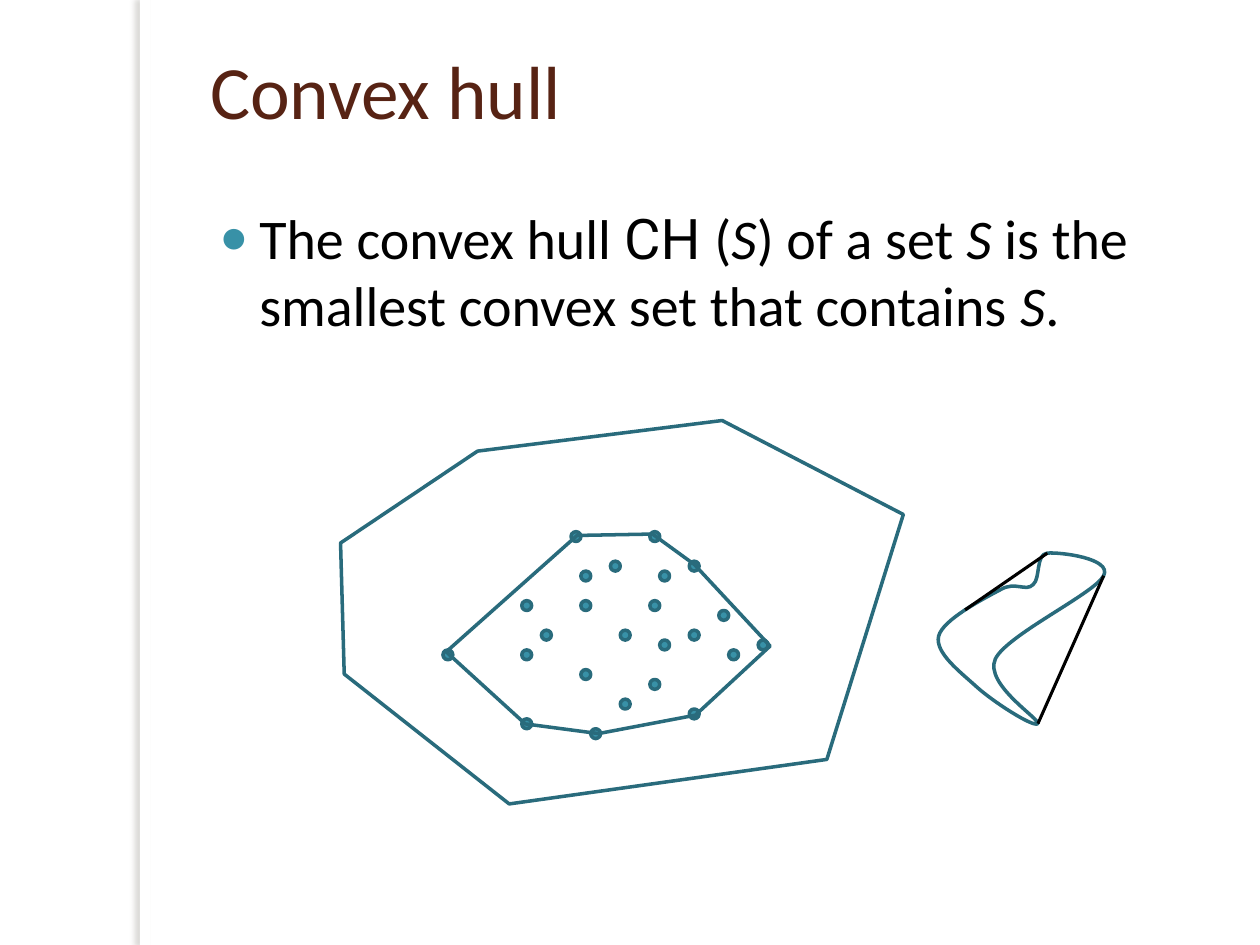
from lxml import etree
from pptx import Presentation
from pptx import util as u
from pptx.dml.color import RGBColor
from pptx.enum import shapes, text
from pptx.oxml import ns

Pt = u.Pt
TEAL, DARK_TEAL = "3891A7", "296B7C"


def rgb(value):
    return RGBColor.from_string(value)


def add_run(paragraph, words, size=32, font="Calibri", color="000000", italic=False):
    run = paragraph.add_run()
    run.text = words
    run.font.size = Pt(size)
    run.font.name = font
    run.font.italic = italic
    run.font.color.rgb = rgb(color)


deck = Presentation()
deck.slide_width, deck.slide_height = Pt(720), Pt(540)
slide = deck.slides.add_slide(deck.slide_layouts[6])

# Side strip with a soft shadow to its left
strip = slide.shapes.add_shape(shapes.MSO_SHAPE.RECTANGLE, Pt(80), 0, Pt(5.76), Pt(540))
strip.shadow.inherit = False
strip.fill.solid()
strip.fill.fore_color.rgb = rgb("FFFFFF")
strip.line.fill.background()
effects = strip._element.spPr.find(ns.qn("a:effectLst"))
shadow = etree.SubElement(effects, ns.qn("a:outerShdw"), blurRad=str(Pt(3)),
                          dist=str(Pt(3)), dir="10800000", rotWithShape="0")
tint = etree.SubElement(shadow, ns.qn("a:srgbClr"), val="736F63")
etree.SubElement(tint, ns.qn("a:alpha"), val="25000")

# Title
title = slide.shapes.add_textbox(Pt(113), Pt(21.6), Pt(590.4), Pt(90)).text_frame
title.word_wrap = True
add_run(title.paragraphs[0], "Convex hull", size=43, color="572314")

# Definition, one bulleted paragraph
body = slide.shapes.add_textbox(Pt(112.3), Pt(112.8), Pt(590.4), Pt(378)).text_frame
body.word_wrap = True
body.vertical_anchor = text.MSO_ANCHOR.TOP
definition = body.paragraphs[0]
definition.space_before = Pt(6)
props = definition._p.get_or_add_pPr()
props.set("marL", str(Pt(28.8)))
props.set("indent", str(Pt(-22.3)))
bullet_color = etree.SubElement(props, ns.qn("a:buClr"))
etree.SubElement(bullet_color, ns.qn("a:srgbClr"), val=TEAL)
etree.SubElement(props, ns.qn("a:buSzPct"), val="80000")
etree.SubElement(props, ns.qn("a:buFont"), typeface="Calibri")
etree.SubElement(props, ns.qn("a:buChar"), char="●")
add_run(definition, "The convex hull ")
add_run(definition, "CH ", font="Roboto")
for words in ("(", "S", ") of a set ", "S",
              " is the smallest convex set that contains ", "S", "."):
    add_run(definition, words, italic=words == "S")

# Point set S, as column and row on a grid whose step is the dot size
step = 5.63
point_set = [
    (0, 12), (8, 19), (8, 12), (15, 20), (8, 7), (14, 14), (14, 7), (21, 15),
    (10, 10), (18, 17), (18, 10), (25, 18), (17, 3), (25, 10), (25, 3), (32, 11),
    (14, 4), (22, 11), (22, 4), (29, 12), (13, 0), (21, 7), (21, 0), (28, 8),
]
for column, row in point_set:
    dot = slide.shapes.add_shape(shapes.MSO_SHAPE.OVAL, Pt(253.1 + column * step),
                                 Pt(303.8 + row * step), Pt(step), Pt(step))
    dot.shadow.inherit = False
    dot.fill.solid()
    dot.fill.fore_color.rgb = rgb(TEAL)
    dot.line.color.rgb = rgb(DARK_TEAL)
    dot.line.width = Pt(2)

# Outer convex polygon, the hull of S, and a curved region
# (the region lists two controls and an end for each Bezier piece)
outer_polygon = [(272.9, 257.8), (194.6, 310.3), (196.7, 385.2), (291, 459.4),
                 (472.5, 434), (516.2, 294), (412.7, 240.3)]
hull = [(329.8, 306), (255, 372.5), (300.2, 413.7), (342, 419.2),
        (397.4, 408.7), (440.1, 369.2), (396.8, 322.6), (372.9, 305.2)]
region = [
    (571.7, 337),
    (562.3, 342), (538.6, 354.2), (536.4, 363.6),
    (534.2, 373), (548.6, 383.8), (558, 392.4),
    (567.4, 401), (591.1, 416.2), (593.1, 413.5),
    (594.7, 411.1), (562.3, 391), (568.8, 376.6),
    (575.3, 362.9), (625.7, 339.1), (630.7, 329),
    (635.8, 319), (605.5, 315.4), (598.5, 316.1),
    (591.8, 316.8), (594.7, 330.5), (590.4, 334.1),
    (586.1, 338.4), (580.3, 331.9), (571.7, 337),
]
for corners in (outer_polygon, hull, region):
    corners = [(Pt(x), Pt(y)) for x, y in corners]
    builder = slide.shapes.build_freeform(*corners[0], scale=1.0)
    builder.add_line_segments(corners[1:], close=True)
    outline = builder.convert_to_shape()
    outline.shadow.inherit = False
    outline.fill.background()
    outline.line.color.rgb = rgb(DARK_TEAL)
    outline.line.width = Pt(2)

# Join the region's segments, three at a time, into Bezier curves
segments = list(outline._element.iter(ns.qn("a:lnTo")))
for i in range(0, len(segments) - 2, 3):
    curve = etree.Element(ns.qn("a:cubicBezTo"))
    segments[i].addprevious(curve)
    for segment in segments[i:i + 3]:
        curve.append(segment[0])
        segment.getparent().remove(segment)

# Straight edges that close the hull of the curved region
hull_edges = slide.shapes.add_group_shape()
for ends in ((630.7, 329, 593.1, 413.5), (598.5, 316.1, 551.5, 348.5)):
    edge = hull_edges.shapes.add_connector(shapes.MSO_CONNECTOR.STRAIGHT, *map(Pt, ends))
    edge.line.color.rgb = rgb("000000")
    edge.line.width = Pt(1.75)
    etree.SubElement(edge._element.spPr, ns.qn("a:effectLst"))

deck.save("out.pptx")
